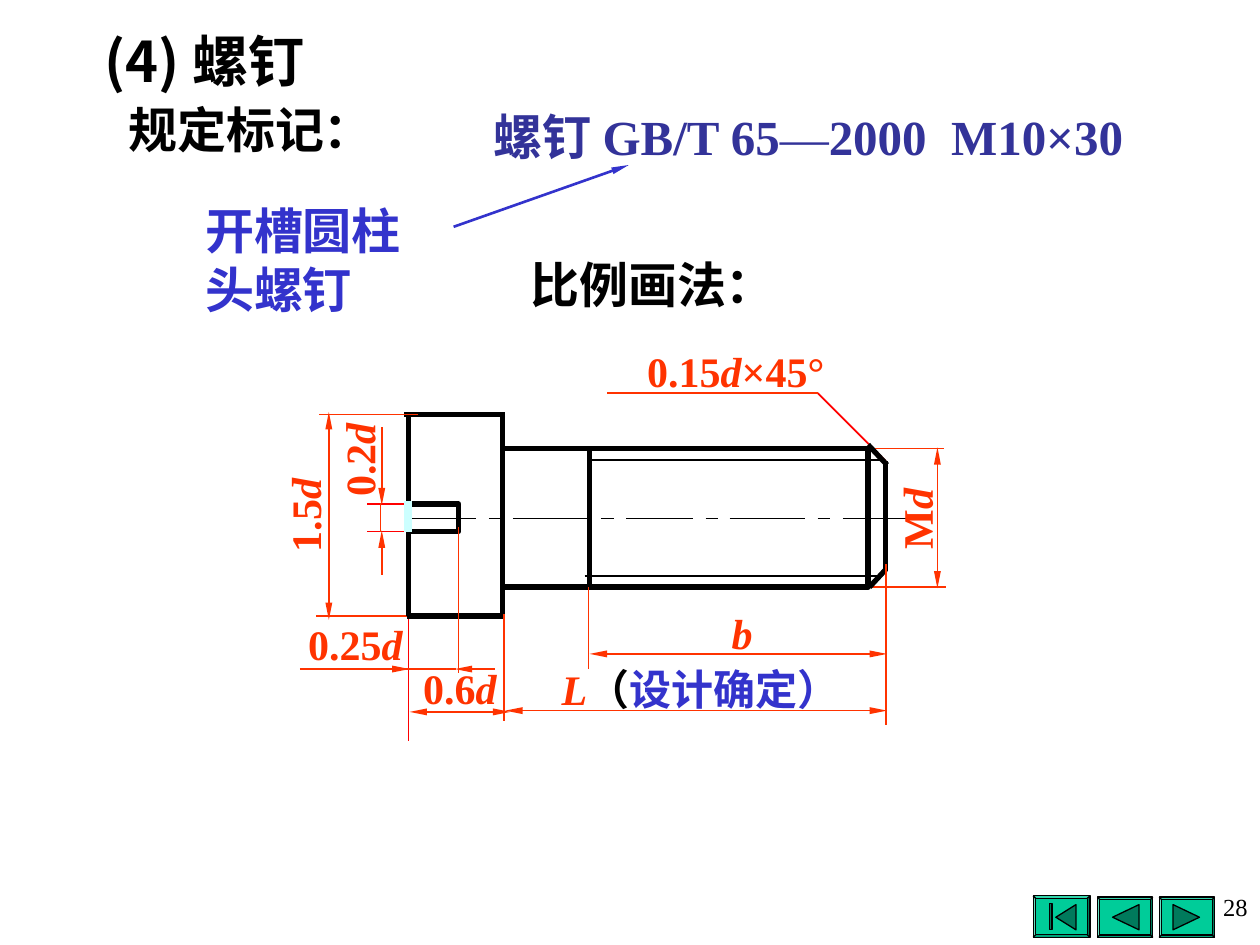
from lxml import etree
from pptx import Presentation
from pptx.dml.color import RGBColor
from pptx.enum.shapes import MSO_CONNECTOR, MSO_SHAPE
from pptx.enum.text import MSO_ANCHOR, PP_ALIGN
from pptx.oxml.ns import qn
from pptx.util import Inches, Pt

STRAIGHT = MSO_CONNECTOR.STRAIGHT
RECT, BEVEL = MSO_SHAPE.RECTANGLE, MSO_SHAPE.BEVEL
MIDDLE, TOP = MSO_ANCHOR.MIDDLE, MSO_ANCHOR.TOP
LEFT, CENTER, RIGHT = PP_ALIGN.LEFT, PP_ALIGN.CENTER, PP_ALIGN.RIGHT

BLACK = RGBColor(0x00, 0x00, 0x00)
NAVY = RGBColor(0x33, 0x33, 0x99)
BLUE = RGBColor(0x33, 0x33, 0xCC)
RED = RGBColor(0xFF, 0x00, 0x00)
ORANGE = RGBColor(0xFF, 0x33, 0x00)
CYAN = RGBColor(0xCC, 0xFF, 0xFF)
GREEN = RGBColor(0x00, 0xCC, 0x99)
DARK = RGBColor(0x00, 0x7A, 0x5C)
SERIF, SANS = "Times New Roman", "Noto Sans CJK SC"


def add_run(par, text, size=28, color=BLACK, bold=True, italic=False, face=SERIF):
    run = par.add_run()
    run.text = text
    font = run.font
    font.size, font.bold, font.italic = Pt(size), bold, italic
    font.name = face
    font.color.rgb = color
    east = etree.SubElement(run._r.get_or_add_rPr(), qn("a:ea"))
    east.set("typeface", SANS)


class Sheet:
    def __init__(self, slide):
        self.slide = slide
        self.shapes = slide.shapes

    def fill_text(self, shape, box, runs, align=LEFT, anchor=MIDDLE, turn=0):
        shape.left, shape.top, shape.width, shape.height = map(Inches, box)
        shape.rotation = turn
        frame = shape.text_frame
        frame.word_wrap = True
        frame.vertical_anchor = anchor
        par = frame.paragraphs[0]
        par.alignment = align
        for text, style in runs:
            add_run(par, text, **style)

    def title(self, box, runs):
        self.fill_text(self.shapes.title, box, runs)

    def text(self, box, runs, **style):
        shape = self.shapes.add_textbox(*map(Inches, box))
        self.fill_text(shape, box, runs, **style)

    def size(self, box, value, sign="", after="", **style):
        look = dict(size=24, color=ORANGE)
        parts = [(value, look), (sign, dict(look, italic=True)), (after, look)]
        self.text(box, [part for part in parts if part[0]], align=CENTER, **style)

    def line(self, x1, y1, x2, y2, color=ORANGE, width=1, ends=()):
        line = self.shapes.add_connector(STRAIGHT, *map(Inches, (x1, y1, x2, y2)))
        line.line.color.rgb = color
        line.line.width = Pt(width)
        for end in ends:
            tip = etree.SubElement(line.line._get_or_add_ln(), qn(f"a:{end}End"))
            for key, value in (("type", "triangle"), ("w", "sm"), ("len", "lg")):
                tip.set(key, value)
        etree.SubElement(line._element.spPr, qn("a:effectLst"))

    def lines(self, rows, **style):
        for row in rows:
            self.line(*row, **style)

    def paint(self, shape, fill, width):
        shape.shadow.inherit = False
        if fill is None:
            shape.fill.background()
        else:
            shape.fill.solid()
            shape.fill.fore_color.rgb = fill
        shape.line.color.rgb = BLACK
        shape.line.width = Pt(width)

    def block(self, box, kind=RECT, fill=None, width=3):
        shape = self.shapes.add_shape(kind, *map(Inches, box))
        if kind == BEVEL:
            shape.adjustments[0] = 0.06
        self.paint(shape, fill, width)

    def wedge(self, tip, base, mid, half):
        path = self.shapes.build_freeform(Inches(tip), Inches(mid))
        path.add_line_segments([(Inches(base), Inches(mid - half)),
                                (Inches(base), Inches(mid + half))])
        self.paint(path.convert_to_shape(), DARK, 0.75)

    def button(self, box, tip, base):
        self.block(box, BEVEL, GREEN, 0.75)
        self.wedge(tip, base, 7.28, 0.1)


def add_words(sheet):
    sheet.title((0.73, 0.16, 3.88, 0.64),
                [("(4) ", dict(size=32, face=SANS)), ("螺钉", dict(size=32))])
    sheet.text((0.92, 0.74, 2.23, 0.57), [("规定标记：", {})])
    mark = dict(color=NAVY)
    sheet.text((3.82, 0.79, 5.67, 0.57),
               [("螺钉 GB/T 65", mark), ("—", dict(mark, bold=False)),
                ("2000  M10×30", mark)])
    sheet.text((1.53, 1.54, 2.13, 1.04), [("开槽圆柱头螺钉", dict(color=BLUE))])
    sheet.line(3.6, 1.8, 4.99, 1.31, color=BLUE, width=1.5, ends=["tail"])
    sheet.text((3.91, 1.97, 2.54, 0.57), [("比例画法：", {})], align=CENTER)


def add_screw(sheet):
    for shift in (0, 1.72):
        for start, end in ((3.27, 3.78), (3.88, 3.98), (4.07, 4.67),
                           (4.77, 4.87), (4.97, 5.48)):
            sheet.line(start + shift, 4.11, end + shift, 4.11, color=BLACK, width=0.25)
    sheet.line(7.03, 3.66, 6.49, 3.12, color=RED)
    sheet.lines([(3.24, 4.22, 2.91, 4.22), (3.24, 4, 2.91, 4),
                 (3.24, 5.88, 3.24, 4.81)], color=RED, width=0.75)
    sheet.lines([(3.33, 4.89, 2.51, 4.89), (6.81, 4.66, 7.51, 4.66),
                 (6.88, 3.56, 7.49, 3.56)])
    sheet.lines([(4.64, 4.57, 6.99, 4.57), (4.67, 3.65, 6.99, 3.65)], color=BLACK)
    sheet.block((3.25, 4, 0.39, 0.22))
    sheet.block((3.99, 3.56, 2.9, 1.1))
    sheet.lines([(4.68, 4.66, 4.68, 3.56), (6.9, 4.66, 7.03, 4.52),
                 (7.03, 4.53, 7.03, 3.66), (6.89, 3.53, 7.04, 3.69),
                 (3.99, 4.91, 3.99, 3.29), (4.01, 3.29, 3.21, 3.29),
                 (3.99, 4.89, 3.23, 4.89), (3.24, 4.89, 3.24, 3.29)],
                color=BLACK, width=3)


def add_sizes(sheet):
    sheet.lines([(3.64, 5.34, 3.64, 4.18), (4, 5.72, 4, 4.87),
                 (3.21, 5.31, 3.62, 5.31), (7.03, 5.75, 7.03, 4.48),
                 (4.67, 5.31, 4.67, 4.66), (6.49, 3.12, 4.82, 3.12),
                 (3.32, 3.29, 2.53, 3.29)])
    sheet.lines([(2.61, 4.92, 2.61, 3.27), (7.44, 4.67, 7.44, 3.55),
                 (3.25, 5.65, 4.05, 5.65), (4.01, 5.64, 7.04, 5.64),
                 (4.68, 5.19, 7.04, 5.19)], ends=["head", "tail"])
    sheet.lines([(3.03, 4.56, 3.03, 4.21), (2.38, 5.31, 3.25, 5.31)], ends=["tail"])
    sheet.lines([(3.03, 4.01, 3.03, 3.39), (3.61, 5.31, 3.93, 5.31)], ends=["head"])
    sheet.line(3.24, 3.98, 3.24, 4.22, color=CYAN, width=4.5)
    sheet.line(3.02, 4.22, 3.02, 3.99)

    sheet.size((2.37, 3.4, 0.95, 0.5), "0.2", "d", turn=270)
    sheet.size((1.68, 3.84, 1.47, 0.5), "1.5", "d", turn=270)
    sheet.size((6.83, 3.87, 0.88, 0.5), "M", "d", turn=270)
    sheet.size((2.31, 4.86, 1.02, 0.5), "0.25", "d")
    sheet.size((2.96, 5.21, 1.38, 0.5), "0.6", "d")
    sheet.size((5.61, 4.77, 0.56, 0.5), "", "b")
    sheet.size((4.84, 2.69, 2, 0.5), "0.15", "d", "×45°")
    sheet.text((4.06, 5.22, 3, 0.5),
               [("L", dict(size=24, color=ORANGE, italic=True)),
                ("（", dict(size=24)), ("设计确定）", dict(size=24, color=BLUE))],
               align=CENTER)


def add_footer(sheet):
    sheet.button((9.2, 7.12, 0.44, 0.32), 9.52, 9.31)
    sheet.button((8.71, 7.12, 0.44, 0.32), 8.83, 9.04)
    sheet.button((8.2, 7.11, 0.45, 0.33), 8.38, 8.54)
    sheet.block((8.33, 7.17, 0.02, 0.21), fill=DARK, width=0.75)
    sheet.text((7.48, 7.03, 2.52, 0.61), [("28", dict(size=14, bold=False))],
               align=RIGHT, anchor=TOP)


def main():
    deck = Presentation()
    deck.slide_width, deck.slide_height = Inches(10), Inches(7.5)
    sheet = Sheet(deck.slides.add_slide(deck.slide_layouts[5]))
    add_words(sheet)
    add_screw(sheet)
    add_sizes(sheet)
    add_footer(sheet)
    deck.save("out.pptx")


if __name__ == "__main__":
    main()
